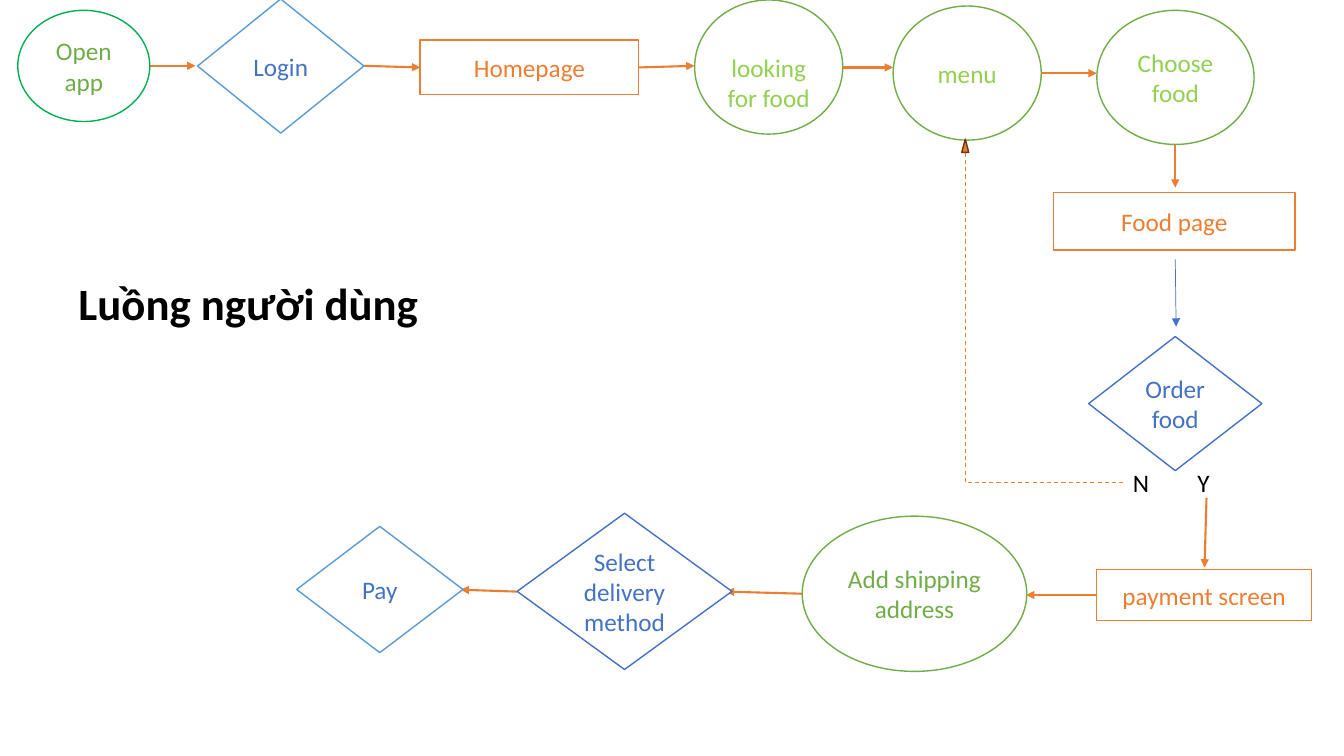
from lxml import etree
from pptx import Presentation
from pptx.dml.color import RGBColor
from pptx.enum.dml import MSO_LINE
from pptx.enum.shapes import MSO_CONNECTOR as CONNECTOR, MSO_SHAPE as SHAPE
from pptx.enum.text import MSO_ANCHOR as ANCHOR, MSO_AUTO_SIZE as AUTO_SIZE, PP_ALIGN as ALIGN
from pptx.oxml.ns import qn
from pptx.util import Pt

WHITE = RGBColor(0xFF, 0xFF, 0xFF)
BLACK = RGBColor(0x00, 0x00, 0x00)
ORANGE = RGBColor(0xED, 0x7D, 0x31)
BROWN = RGBColor(0x68, 0x37, 0x15)
BLUE = RGBColor(0x44, 0x72, 0xC4)
SKY = RGBColor(0x5B, 0x9B, 0xD5)
GREEN = RGBColor(0x70, 0xAD, 0x47)
EMERALD = RGBColor(0x00, 0xB0, 0x50)
LIME = RGBColor(0x92, 0xD0, 0x50)

presentation = Presentation()
presentation.slide_width = Pt(960)
presentation.slide_height = Pt(540)
slide = presentation.slides.add_slide(presentation.slide_layouts[6])


def add_line(kind, start, end, color, width):
    connector = slide.shapes.add_connector(kind, *map(Pt, start + end))
    connector.line.color.rgb = color
    connector.line.width = Pt(width)
    etree.SubElement(connector.element.spPr, qn("a:effectLst"))
    return connector


def add_outlined(kind, box, fill, outline):
    shape = slide.shapes.add_shape(kind, *map(Pt, box))
    shape.shadow.inherit = False
    shape.fill.solid()
    shape.fill.fore_color.rgb = fill
    shape.line.color.rgb = outline
    shape.line.width = Pt(1)
    return shape


arrows = [
    ((106.6, 47), (139.7, 47), ORANGE, 1.5),
    ((259.9, 47), (300.2, 48.2), ORANGE, 1.5),
    ((456, 48.2), (496.1, 47), ORANGE, 1.5),
    ((601.9, 48.2), (637.9, 48.2), ORANGE, 1.5),
    ((743.8, 52.3), (783.4, 52.3), ORANGE, 1.5),
    ((839.5, 103.5), (839.5, 134), ORANGE, 1.5),
    ((839.5, 185.2), (840.1, 233.3), BLUE, 0.5),
    ((861.8, 355.7), (860.4, 405.4), ORANGE, 1.5),
    ((783.4, 425), (733, 425), ORANGE, 1.5),
    ((573.1, 424.1), (518.4, 422.6), ORANGE, 1.5),
    ((369.4, 422.6), (329, 421.2), ORANGE, 1.5),
]
for start, end, color, width in arrows:
    arrow = add_line(CONNECTOR.STRAIGHT, start, end, color, width)
    outline = arrow.line._get_or_add_ln()
    etree.SubElement(outline, qn("a:tailEnd"), type="triangle")

nodes = [
    ("Open\napp", SHAPE.OVAL, (12.7, 7.4, 94.3, 79.4), EMERALD, GREEN),
    ("Login", SHAPE.DIAMOND, (141.1, -0.7, 118.8, 95.8), SKY, BLUE),
    ("Homepage", SHAPE.RECTANGLE, (300.1, 28.6, 156.2, 38.9), ORANGE, ORANGE),
    ("looking for food", SHAPE.OVAL, (496.2, 0, 105.8, 95.8), GREEN, LIME),
    ("menu", SHAPE.OVAL, (638, 4.3, 105.8, 95.8), GREEN, LIME),
    ("Choose food", SHAPE.OVAL, (783.5, 7.4, 112.3, 95.8), GREEN, LIME),
    ("Food page", SHAPE.RECTANGLE, (752.4, 137.7, 172.8, 41), ORANGE, ORANGE),
    ("Order food", SHAPE.DIAMOND, (777.6, 240.4, 123.8, 95.8), BLUE, BLUE),
    ("payment screen", SHAPE.RECTANGLE, (783.4, 406.6, 153.4, 36.7), ORANGE, ORANGE),
    ("Add shipping address", SHAPE.OVAL, (573, 368.7, 160.4, 110.9), GREEN, GREEN),
    ("Select delivery method", SHAPE.DIAMOND, (369.4, 366.6, 153.4, 111.6), BLUE, BLUE),
    ("Pay", SHAPE.DIAMOND, (211.9, 376, 118.8, 90.2), SKY, BLUE),
]
for label, kind, box, outline, color in nodes:
    node = add_outlined(kind, box, WHITE, outline)
    frame = node.text_frame
    frame.word_wrap = True
    frame.vertical_anchor = ANCHOR.MIDDLE
    frame.text = label
    if label == "looking for food":
        frame.margin_top = Pt(25.6)
    for paragraph in frame.paragraphs:
        paragraph.alignment = ALIGN.CENTER
        paragraph.font.name = "Calibri"
        paragraph.font.size = Pt(18)
        paragraph.font.color.rgb = color

return_path = add_line(CONNECTOR.ELBOW, (689.6, 108), (802.4, 344.9), ORANGE, 0.75)
return_path.line.dash_style = MSO_LINE.DASH
properties = return_path.element.spPr
properties.find(qn("a:xfrm")).set("rot", "10800000")
properties.find(qn("a:prstGeom")).set("prst", "bentConnector2")
add_outlined(SHAPE.ISOSCELES_TRIANGLE, (687, 99.4, 5, 9.4), ORANGE, BROWN)

texts = [
    ("N", (802.1, 330.5, 27.4, 28.8), 18, False, False),
    ("Y", (848.2, 330.5, 27.4, 28.8), 18, False, False),
    ("Luồng người dùng", (49, 193.7, 396, 46.1), 32, True, True),
]
for label, box, size, bold, wrap in texts:
    text_box = slide.shapes.add_textbox(*map(Pt, box))
    frame = text_box.text_frame
    frame.word_wrap = wrap
    frame.auto_size = AUTO_SIZE.SHAPE_TO_FIT_TEXT
    frame.text = label
    paragraph = frame.paragraphs[0]
    paragraph.font.name = "Calibri"
    paragraph.font.size = Pt(size)
    paragraph.font.bold = bold
    paragraph.font.color.rgb = BLACK

presentation.save("out.pptx")
